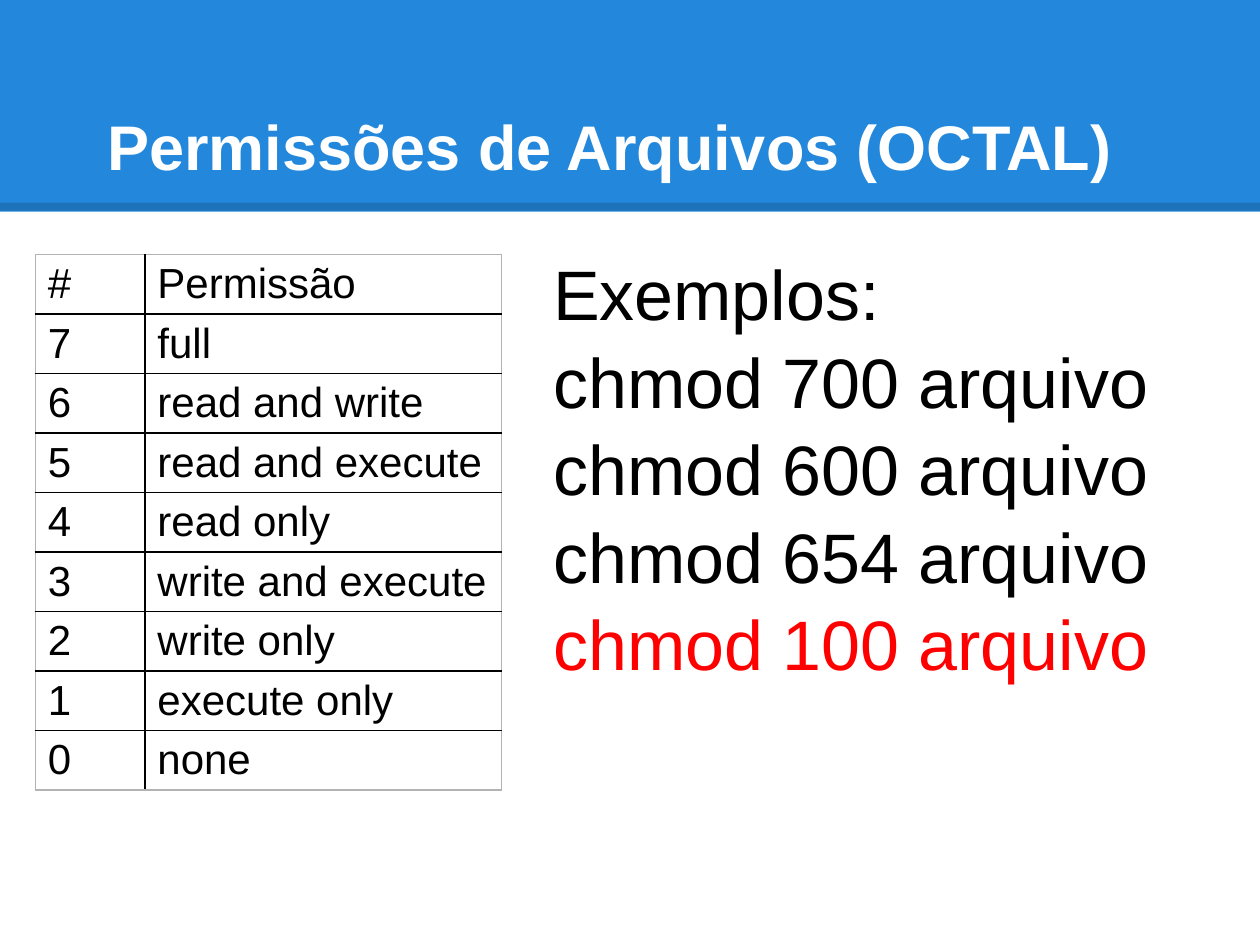
"""Build the slide on octal file permissions."""
from lxml import etree
from pptx import Presentation, util as u
from pptx.dml.color import RGBColor
from pptx.enum import shapes, text
from pptx.oxml.ns import qn

TITLE = "Permissões de Arquivos (OCTAL)"
ROWS = [
    ("#", "Permissão"),
    ("7", "full"),
    ("6", "read and write"),
    ("5", "read and execute"),
    ("4", "read only"),
    ("3", "write and execute"),
    ("2", "write only"),
    ("1", "execute only"),
    ("0", "none"),
]
DEMOS = [
    ("Exemplos:", "000000"),
    ("chmod 700 arquivo", "000000"),
    ("chmod 600 arquivo", "000000"),
    ("chmod 654 arquivo", "000000"),
    ("chmod 100 arquivo", "FF0000"),
]
COLS, ROW = (0.87, 2.83), 0.47
INNER, OUTER = "000000", "B3B3B3"


def paint(item, color):
    item.solid()
    item.fore_color.rgb = RGBColor.from_string(color)


def style(par, size, color, bold=False):
    for run in par.runs:
        run.font.name, run.font.size, run.font.bold = "Arial", u.Pt(size), bold
        paint(run.font.fill, color)


def place(shape, *box):
    shape.left, shape.top, shape.width, shape.height = map(u.Inches, box)


def indent(par, first):
    props = par._p.get_or_add_pPr()
    props.set("marL", "0")
    props.set("indent", str(u.Inches(first)))
    etree.SubElement(props, qn("a:buNone"))


def border(cell, sides):
    props = cell._tc.get_or_add_tcPr()
    for at, (side, color) in enumerate(sides.items()):
        line = etree.Element(qn("a:ln" + side), w=str(u.Pt(1)))
        fill = etree.SubElement(line, qn("a:solidFill"))
        etree.SubElement(fill, qn("a:srgbClr"), val=color)
        props.insert(at, line)


deck = Presentation()
deck.slide_width, deck.slide_height = u.Inches(10), u.Inches(7.5)
slide = deck.slides.add_slide(deck.slide_layouts[1])
parts = slide.shapes
title, body = slide.placeholders

band = parts.add_shape(shapes.MSO_SHAPE.RECTANGLE, 0, 0, deck.slide_width, u.Inches(1.68))
band.shadow.inherit = False
paint(band.fill, "2388DB")
band.line.fill.background()

rule = parts.add_connector(shapes.MSO_CONNECTOR.STRAIGHT, 0, u.Inches(1.64),
                           deck.slide_width, u.Inches(1.64))
rule.line.width = u.Pt(4.5)
paint(rule.line.fill, "000000")
shade = next(rule._element.spPr.iter(qn("a:srgbClr")))
etree.SubElement(shade, qn("a:alpha"), val="15000")
etree.SubElement(rule._element.spPr, qn("a:effectLst"))

place(title, 0.5, 0.3, 9, 1.25)
parts._spTree.append(title._element)
frame = title.text_frame
frame.text = TITLE
frame.auto_size = text.MSO_AUTO_SIZE.NONE
frame.vertical_anchor = text.MSO_ANCHOR.BOTTOM
frame.margin_left = frame.margin_right = frame.margin_top = frame.margin_bottom = u.Inches(0.1)
head = frame.paragraphs[0]
head.alignment = text.PP_ALIGN.LEFT
indent(head, 0.25)
style(head, 36, "FFFFFF", True)

grid = parts.add_table(len(ROWS), len(COLS), u.Inches(0.28), u.Inches(2.02),
                       u.Inches(sum(COLS)), u.Inches(ROW * len(ROWS))).table
grid.first_row = grid.horz_banding = False
for col, width in zip(grid.columns, COLS):
    col.width = u.Inches(width)
for r, row in enumerate(ROWS):
    grid.rows[r].height = u.Inches(ROW)
    for c, word in enumerate(row):
        cell = grid.cell(r, c)
        cell.text = word
        cell.vertical_anchor = text.MSO_ANCHOR.MIDDLE
        cell.fill.background()
        style(cell.text_frame.paragraphs[0], 24, "000000")
        edges = {"L": c == 0, "R": c == len(COLS) - 1,
                 "T": r == 0, "B": r == len(ROWS) - 1}
        border(cell, {k: OUTER if edge else INNER for k, edge in edges.items()})

place(body, 4.29, 1.94, 5.12, 4.14)
parts._spTree.append(body._element)
frame = body.text_frame
frame.text = "\n".join(line for line, _ in DEMOS)
frame.auto_size = text.MSO_AUTO_SIZE.NONE
frame.vertical_anchor = text.MSO_ANCHOR.TOP
for par, (_, color) in zip(frame.paragraphs, DEMOS):
    par.space_before = u.Pt(2)
    indent(par, 0)
    style(par, 40, color)

deck.save("out.pptx")
